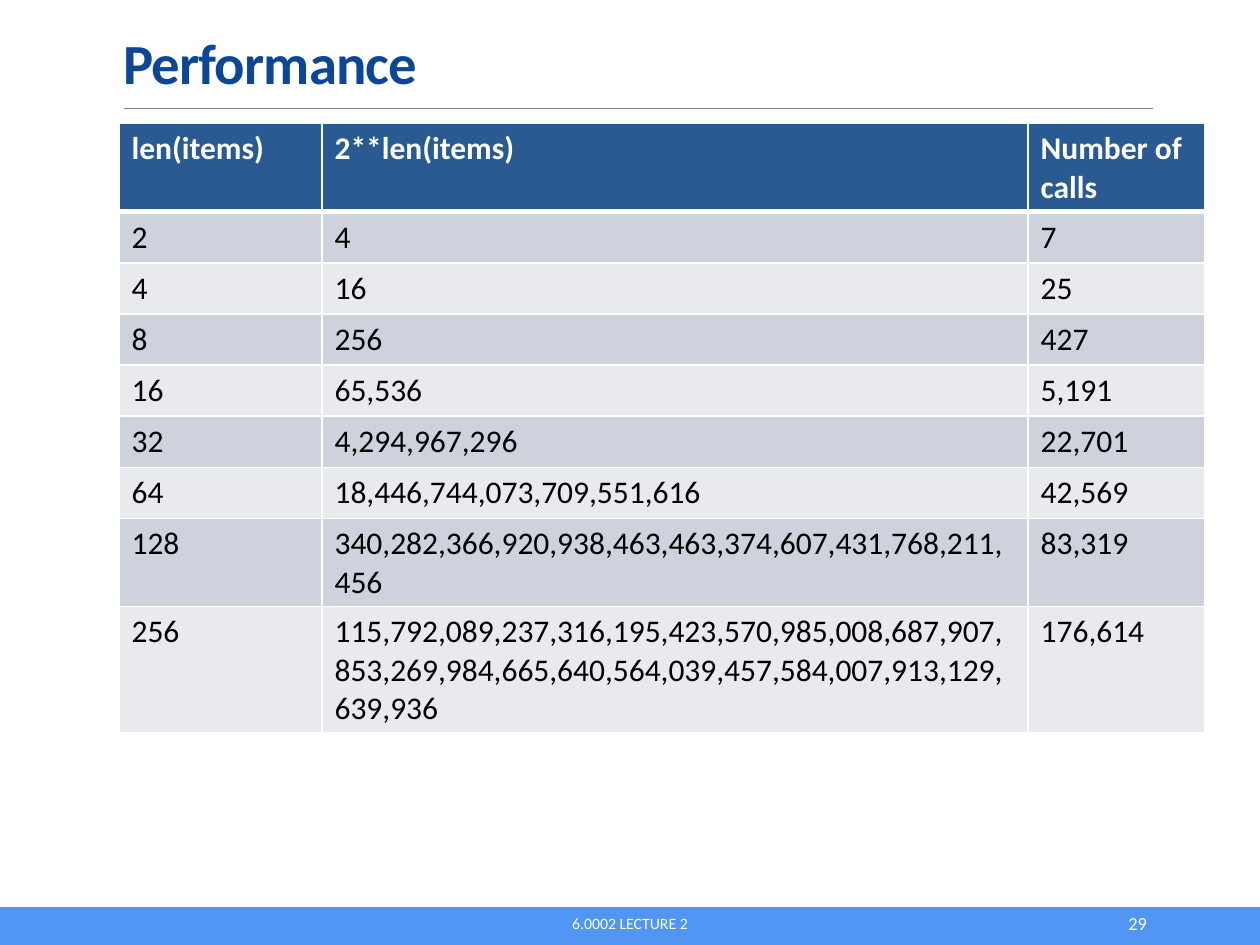
from lxml import etree
from pptx import Presentation
from pptx.dml.color import RGBColor
from pptx.enum import shapes, text
from pptx.oxml import ns
from pptx.util import Pt

FONT = "Calibri"
WHITE = "FFFFFF"
HEADER_BLUE = "295B92"
BAND_FILLS = ("CDD2DC", "E8EAEE")
COLUMN_WIDTHS = (116, 403.5, 101)
ROW_HEIGHT = 29.2

ROWS = [
    ("len(items)", "2**len(items)", "Number of calls"),
    ("2", "4", "7"),
    ("4", "16", "25"),
    ("8", "256", "427"),
    ("16", "65,536", "5,191"),
    ("32", "4,294,967,296", "22,701"),
    ("64", "18,446,744,073,709,551,616", "42,569"),
    ("128", "340,282,366,920,938,463,463,374,607,431,768,211,456", "83,319"),
    ("256", "115,792,089,237,316,195,423,570,985,008,687,907,853,269,984,"
            "665,640,564,039,457,584,007,913,129,639,936", "176,614"),
]


def color(hex_code):
    return RGBColor.from_string(hex_code)


def style(paragraph, size, hex_code, bold=False):
    font = paragraph.font
    font.name, font.size, font.bold = FONT, Pt(size), bold
    font.color.rgb = color(hex_code)


def add_heading(slide, left, top, width, height):
    title = slide.shapes.title
    title.left, title.top = Pt(left), Pt(top)
    title.width, title.height = Pt(width), Pt(height)
    frame = title.text_frame
    frame.text = "Performance"
    frame.auto_size = text.MSO_AUTO_SIZE.NONE
    frame.vertical_anchor = text.MSO_ANCHOR.BOTTOM
    heading = frame.paragraphs[0]
    heading.alignment = text.PP_ALIGN.LEFT
    heading.line_spacing = 0.85
    style(heading, 32.4, "0B4796", bold=True)
    heading.runs[0].font._element.set("spc", "-50")

    rule_y = Pt(top + height + 3.6)
    rule = slide.shapes.add_connector(
        shapes.MSO_CONNECTOR.STRAIGHT,
        Pt(left + 7.2), rule_y, Pt(left + width + 1.4), rule_y)
    rule.line.color.rgb = color("808080")
    rule.line.width = Pt(0.5)
    etree.SubElement(rule._element.spPr, ns.qn("a:effectLst"))


def set_border(cell, side, width):
    border = etree.Element(ns.qn(f"a:{side}"), w=str(Pt(width)))
    fill = etree.SubElement(border, ns.qn("a:solidFill"))
    etree.SubElement(fill, ns.qn("a:srgbClr"), val=WHITE)
    cell._tc.get_or_add_tcPr().append(border)


def add_calls_table(slide, left, top):
    table = slide.shapes.add_table(
        len(ROWS), len(COLUMN_WIDTHS), Pt(left), Pt(top),
        Pt(sum(COLUMN_WIDTHS)), Pt(ROW_HEIGHT * len(ROWS))).table
    for column, width in zip(table.columns, COLUMN_WIDTHS):
        column.width = Pt(width)
    for row_index, values in enumerate(ROWS):
        is_header = row_index == 0
        table.rows[row_index].height = Pt(ROW_HEIGHT)
        for column_index, value in enumerate(values):
            cell = table.cell(row_index, column_index)
            cell.text = value
            style(cell.text_frame.paragraphs[0], 18,
                  WHITE if is_header else "000000", bold=is_header)
            for side in ("lnL", "lnR", "lnT", "lnB"):
                header_edge = (row_index, side) in ((0, "lnB"), (1, "lnT"))
                set_border(cell, side, 3 if header_edge else 1)
            cell.fill.solid()
            cell.fill.fore_color.rgb = color(
                HEADER_BLUE if is_header else BAND_FILLS[(row_index - 1) % 2])


def add_footer(slide, left, top, width, height):
    band = slide.shapes.add_shape(
        shapes.MSO_SHAPE.RECTANGLE, Pt(left), Pt(top), Pt(width), Pt(height))
    band.shadow.inherit = False
    band.fill.solid()
    band.fill.fore_color.rgb = color("5096F2")
    band.line.fill.background()

    labels = [
        ("6.0002 LECTURE 2", 217.5, 285, 9, text.PP_ALIGN.CENTER),
        ("29", 584.6, 77.8, 10.5, text.PP_ALIGN.RIGHT),
    ]
    for wording, offset, label_width, size, alignment in labels:
        label = slide.shapes.add_textbox(
            Pt(left + offset), Pt(top - 5), Pt(label_width), Pt(28.8))
        frame = label.text_frame
        frame.word_wrap = True
        frame.vertical_anchor = text.MSO_ANCHOR.MIDDLE
        frame.text = wording
        frame.paragraphs[0].alignment = alignment
        style(frame.paragraphs[0], size, WHITE)


def main():
    presentation = Presentation()
    presentation.slide_width, presentation.slide_height = Pt(720), Pt(540)
    slide = presentation.slides.add_slide(presentation.slide_layouts[5])
    add_footer(slide, 0, 518.4, 720, 21.6)
    add_heading(slide, 63.4, 20.2, 594, 38.2)
    add_calls_table(slide, 68, 70.6)
    presentation.save("out.pptx")


if __name__ == "__main__":
    main()
